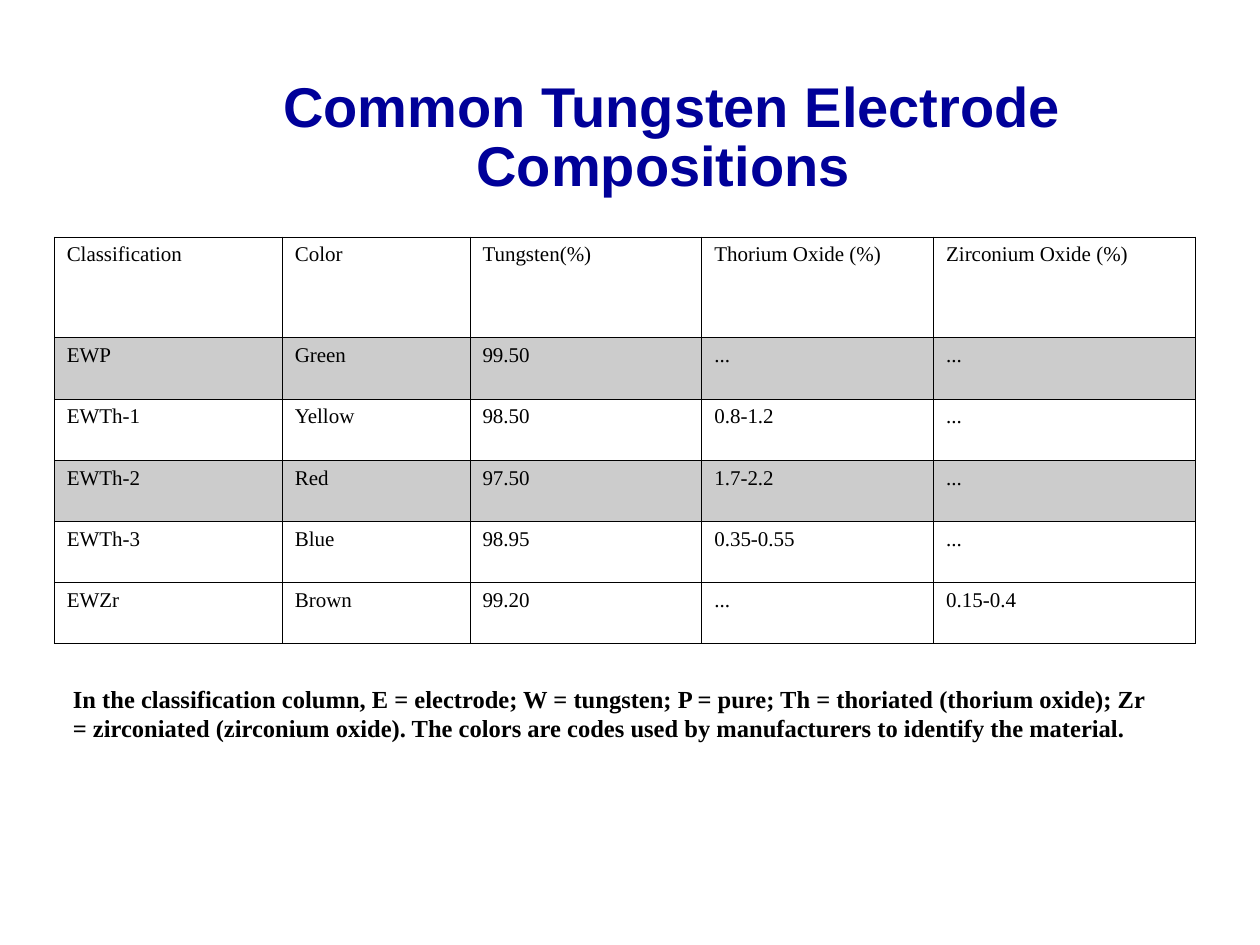
from lxml import etree
from pptx import Presentation
from pptx.dml.color import RGBColor
from pptx.enum import text
from pptx.oxml import ns
from pptx.util import Inches, Pt

NAVY = RGBColor(0x00, 0x00, 0x99)
BLACK = RGBColor(0x00, 0x00, 0x00)
GRAY = RGBColor(0xCC, 0xCC, 0xCC)

ROWS = [
    ("Classification", "Color", "Tungsten(%)", "Thorium Oxide (%)", "Zirconium Oxide (%)"),
    ("EWP", "Green", "99.50", "...", "..."),
    ("EWTh-1", "Yellow", "98.50", "0.8-1.2", "..."),
    ("EWTh-2", "Red", "97.50", "1.7-2.2", "..."),
    ("EWTh-3", "Blue", "98.95", "0.35-0.55", "..."),
    ("EWZr", "Brown", "99.20", "...", "0.15-0.4"),
]
COLUMN_WIDTHS = [1.81, 1.49, 1.84, 1.84, 2.08]
HEADER_HEIGHT, ROW_HEIGHT = 0.8, 0.486
SHADED_ROWS = (1, 3)


def format_run(run, font_name, size, color, bold=False):
    run.font.name = font_name
    run.font.size = Pt(size)
    run.font.color.rgb = color
    run.font.bold = bold


def add_borders(cell, color, width):
    """Draw a solid line on all four sides; call before setting the cell's fill."""
    properties = cell._tc.get_or_add_tcPr()
    for side in ("lnL", "lnR", "lnT", "lnB"):
        line = etree.SubElement(properties, ns.qn(f"a:{side}"), w=str(Pt(width)))
        fill = etree.SubElement(line, ns.qn("a:solidFill"))
        etree.SubElement(fill, ns.qn("a:srgbClr"), val=str(color))


presentation = Presentation()
presentation.slide_width = Inches(10)
presentation.slide_height = Inches(7.5)
slide = presentation.slides.add_slide(presentation.slide_layouts[6])

# Title
title = slide.shapes.add_textbox(Inches(1.17), Inches(0.5), Inches(8.33), Inches(1.25))
title.text_frame.word_wrap = True
title.text_frame.vertical_anchor = text.MSO_ANCHOR.MIDDLE
paragraph = title.text_frame.paragraphs[0]
paragraph.alignment = text.PP_ALIGN.CENTER
paragraph.line_spacing = 0.8
for wording, size in (("Common Tungsten Electrode Compositions", 32), (" ", 36)):
    run = paragraph.add_run()
    run.text = wording
    format_run(run, "Arial", size, NAVY, bold=True)

# Composition table
table_height = HEADER_HEIGHT + ROW_HEIGHT * (len(ROWS) - 1)
table = slide.shapes.add_table(
    len(ROWS), len(COLUMN_WIDTHS),
    Inches(0.43), Inches(1.88), Inches(sum(COLUMN_WIDTHS)), Inches(table_height),
).table
table.first_row = False
table.horz_banding = False
for column, width in zip(table.columns, COLUMN_WIDTHS):
    column.width = Inches(width)
for row_index, values in enumerate(ROWS):
    table.rows[row_index].height = Inches(ROW_HEIGHT if row_index else HEADER_HEIGHT)
    for column_index, value in enumerate(values):
        cell = table.cell(row_index, column_index)
        cell.text_frame.text = value
        format_run(cell.text_frame.paragraphs[0].runs[0], "Times New Roman", 12, BLACK)
        add_borders(cell, BLACK, 0.45)
        if row_index in SHADED_ROWS:
            cell.fill.solid()
            cell.fill.fore_color.rgb = GRAY
        else:
            cell.fill.background()

# Explanatory note
note = slide.shapes.add_textbox(Inches(0.48), Inches(5.38), Inches(8.82), Inches(0.57))
note.text_frame.word_wrap = True
note.text_frame.auto_size = text.MSO_AUTO_SIZE.SHAPE_TO_FIT_TEXT
note.text_frame.text = (
    "In the classification column, E = electrode; W = tungsten; P = pure; "
    "Th = thoriated (thorium oxide); Zr = zirconiated (zirconium oxide). "
    "The colors are codes used by manufacturers to identify the material."
)
paragraph = note.text_frame.paragraphs[0]
paragraph.space_before = Pt(8.8)
format_run(paragraph.runs[0], "Times New Roman", 14, BLACK, bold=True)

presentation.save("out.pptx")
